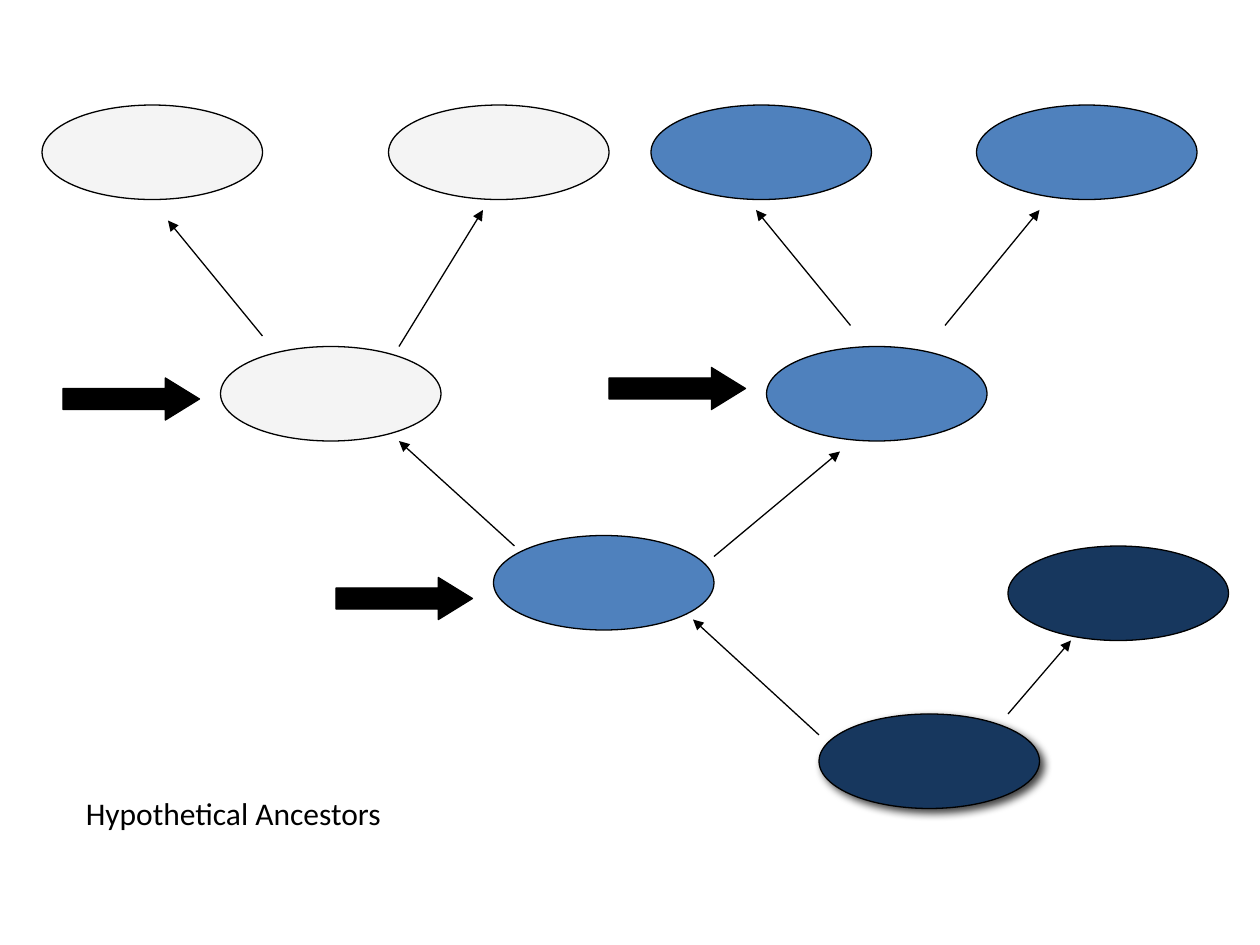
from dataclasses import dataclass

from lxml.etree import SubElement
from pptx import Presentation
from pptx.dml.color import RGBColor
from pptx.enum.shapes import MSO_CONNECTOR as Connector, MSO_SHAPE as Preset
from pptx.enum.text import MSO_AUTO_SIZE as AutoSize
from pptx.oxml.ns import qn
from pptx.shapes.autoshape import Shape
from pptx.slide import Slide
from pptx.util import Cm, Pt

BLACK = RGBColor(0x00, 0x00, 0x00)
PALE = RGBColor(0xF4, 0xF4, 0xF4)
BLUE = RGBColor(0x4F, 0x81, 0xBD)
NAVY = RGBColor(0x17, 0x37, 0x5E)

LINE_WIDTH = Pt(0.75)
NODE_SIZE = (21, 9)
POINTER_SIZE = (13, 4)


@dataclass(frozen=True)
class Node:
    left: int
    top: int
    color: RGBColor
    shadow: bool = False


@dataclass(frozen=True)
class Branch:
    start: tuple[int, int]
    end: tuple[int, int]


# Positions are counted in grid steps of a twelfth of an inch
NODES = [
    Node(4, 10, PALE), Node(37, 10, PALE), Node(62, 10, BLUE), Node(93, 10, BLUE),
    Node(21, 33, PALE), Node(73, 33, BLUE),
    Node(47, 51, BLUE), Node(96, 52, NAVY),
    Node(78, 68, NAVY, shadow=True),
]
BRANCHES = [
    Branch((25, 32), (16, 21)), Branch((38, 33), (46, 20)),
    Branch((81, 31), (72, 20)), Branch((90, 31), (99, 20)),
    Branch((49, 52), (38, 42)), Branch((68, 53), (80, 43)),
    Branch((78, 70), (66, 59)), Branch((96, 68), (102, 61)),
]
ANCESTOR_POINTERS = [(6, 36), (58, 35), (32, 55)]


def grid(steps: float) -> Cm:
    return Cm(2.54 * steps / 12)


def add_filled_shape(slide: Slide, preset: Preset, position: tuple[int, int],
                     size: tuple[int, int], color: RGBColor) -> Shape:
    shape = slide.shapes.add_shape(preset, *map(grid, position + size))
    shape.shadow.inherit = False
    shape.fill.solid()
    shape.fill.fore_color.rgb = color
    shape.line.color.rgb = BLACK
    shape.line.width = LINE_WIDTH
    return shape


def add_shadow(shape: Shape) -> None:
    effects = shape._element.spPr.find(qn("a:effectLst"))
    shadow = SubElement(effects, qn("a:outerShdw"), blurRad=str(Pt(5)),
                        dist=str(Pt(3)), dir=str(45 * 60000), algn="ctr", rotWithShape="0")
    color = SubElement(shadow, qn("a:srgbClr"), val=str(BLACK))
    SubElement(color, qn("a:alpha"), val="75000")


def add_node(slide: Slide, node: Node) -> None:
    shape = add_filled_shape(slide, Preset.OVAL, (node.left, node.top), NODE_SIZE, node.color)
    if node.shadow:
        add_shadow(shape)


def add_branch(slide: Slide, branch: Branch) -> None:
    connector = slide.shapes.add_connector(
        Connector.STRAIGHT, *map(grid, branch.start + branch.end))
    connector.line.color.rgb = BLACK
    connector.line.width = LINE_WIDTH
    SubElement(connector.line._get_or_add_ln(), qn("a:tailEnd"), type="triangle")
    SubElement(connector._element.spPr, qn("a:effectLst"))


def add_pointer(slide: Slide, position: tuple[int, int]) -> None:
    arrow = add_filled_shape(slide, Preset.RIGHT_ARROW, position, POINTER_SIZE, BLACK)
    arrow.adjustments[0] = 0.5
    arrow.adjustments[1] = 0.81


def add_caption(slide: Slide, text: str) -> None:
    box = slide.shapes.add_textbox(grid(7), grid(75), Cm(9.17), grid(6))
    frame = box.text_frame
    frame.word_wrap = False
    frame.auto_size = AutoSize.SHAPE_TO_FIT_TEXT
    run = frame.paragraphs[0].add_run()
    run.text = text
    run.font.name = "Calibri"
    run.font.size = Pt(18)
    run.font.color.rgb = BLACK


def main() -> None:
    presentation = Presentation()
    presentation.slide_width = Cm(25.4)
    presentation.slide_height = Cm(19.05)
    slide = presentation.slides.add_slide(presentation.slide_layouts[6])

    # Tree
    for node in NODES:
        add_node(slide, node)
    for branch in BRANCHES:
        add_branch(slide, branch)

    # Marked ancestors and their caption
    for position in ANCESTOR_POINTERS:
        add_pointer(slide, position)
    add_caption(slide, "Hypothetical Ancestors")

    presentation.save("out.pptx")


if __name__ == "__main__":
    main()
